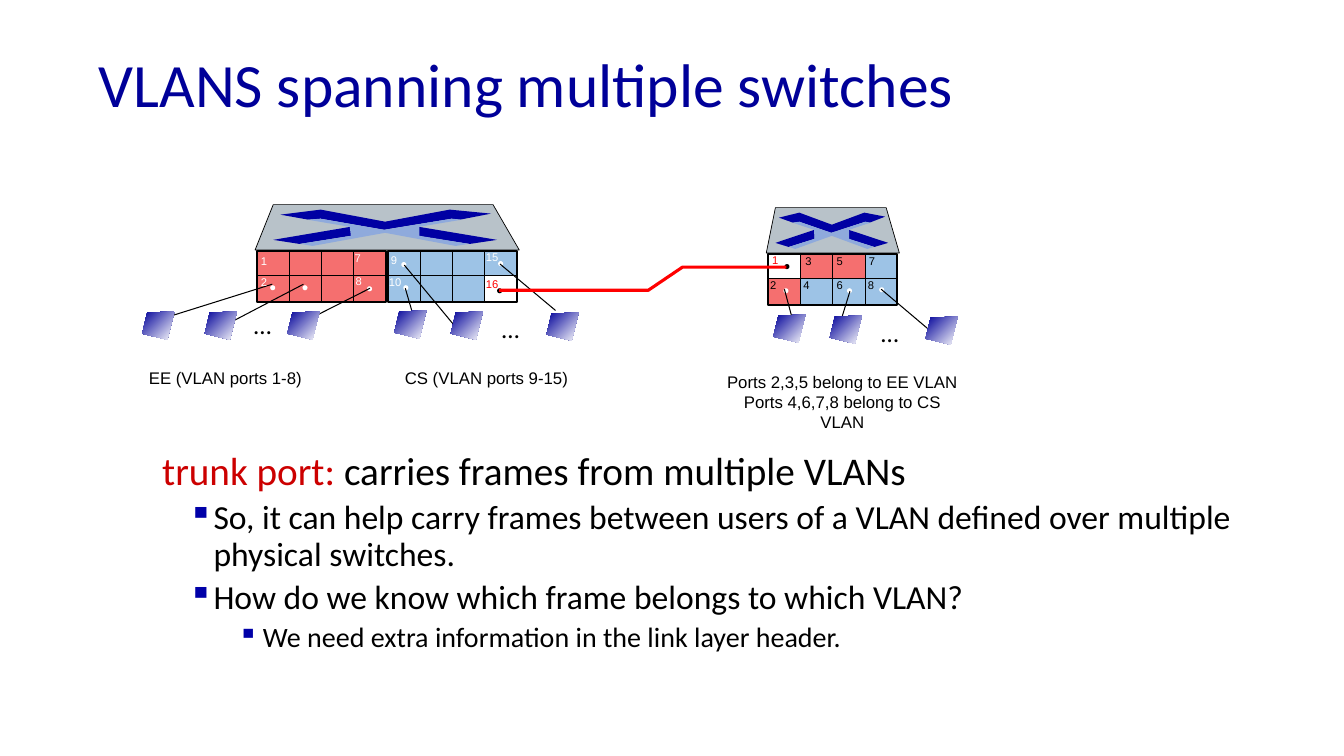
import pptx
import pptx.util
from lxml import etree
from pptx.dml.color import RGBColor
from pptx.enum.shapes import MSO_CONNECTOR, MSO_SHAPE
from pptx.enum.text import MSO_ANCHOR, PP_ALIGN
from pptx.oxml.ns import qn
from pptx.util import Inches, Pt

BLACK = RGBColor(0x00, 0x00, 0x00)
WHITE = RGBColor(0xFF, 0xFF, 0xFF)
NAVY = RGBColor(0x00, 0x00, 0x99)
ARROW_BLUE = RGBColor(0x00, 0x00, 0xA3)
ARROW_SHADE = RGBColor(0x8F, 0xAA, 0xDC)
CASE_GREY = RGBColor(0xB8, 0xC2, 0xC9)
TERM_RED = RGBColor(0xCC, 0x00, 0x00)
TRUNK_RED = RGBColor(0xFF, 0x00, 0x00)
VLAN_COLOURS = {
    "E": RGBColor(0xF5, 0x6F, 0x6F),
    "C": RGBColor(0x9D, 0xC3, 0xE6),
    "T": WHITE,
}

TITLE = "VLANS spanning multiple switches"
# level, runs of (text, colour), size
BODY = [
    (0, [("trunk port: ", TERM_RED), ("carries frames from multiple VLANs", BLACK)], 28),
    (1, [("So, it can help carry frames between users of a VLAN defined over "
          "multiple physical switches.", BLACK)], 24),
    (1, [("How do we know which frame belongs to which VLAN?", BLACK)], 24),
    (2, [("We need extra information in the link layer header.", BLACK)], 20),
]
BODY_INDENT = {1: 0.51, 2: 1.0}

# left, top, VLAN of each port by row
PORT_BANKS = [
    (2.55, 2.49, ["EEEE", "EEEE"]),
    (3.85, 2.49, ["CCCC", "CCCT"]),
    (7.62, 2.52, ["TEEC", "ECCC"]),
]
PORT_W, UPPER_H, LOWER_H = 0.32, 0.24, 0.27

# number, left, top, width, colour
PORT_NUMBERS = [
    ("1", 2.49, 2.47, 0.26, WHITE), ("2", 2.49, 2.68, 0.26, WHITE),
    ("7", 3.42, 2.44, 0.26, WHITE), ("8", 3.43, 2.67, 0.26, WHITE),
    ("9", 3.78, 2.46, 0.26, WHITE), ("10", 3.76, 2.68, 0.33, WHITE),
    ("15", 4.72, 2.43, 0.33, WHITE), ("16", 4.72, 2.70, 0.33, TRUNK_RED),
    ("1", 7.56, 2.46, 0.26, TRUNK_RED), ("2", 7.54, 2.71, 0.26, BLACK),
    ("3", 7.89, 2.47, 0.26, BLACK), ("4", 7.87, 2.71, 0.26, BLACK),
    ("5", 8.20, 2.47, 0.26, BLACK), ("6", 8.20, 2.71, 0.26, BLACK),
    ("7", 8.52, 2.47, 0.26, BLACK), ("8", 8.51, 2.71, 0.26, BLACK),
]

# left, top, width of each switch lid
SWITCH_LIDS = [(2.53, 2.03, 2.62), (7.60, 2.06, 1.32)]
LID_DESIGN_W = 2.62
LID_PARTS = [
    (CASE_GREY, True, [(0, 0.45), (0.18, 0), (2.36, 0), (2.62, 0.45)]),
    (ARROW_BLUE, False, [(1.93, 0.05), (2.34, 0.09), (2.03, 0.15), (1.95, 0.14),
                         (1.28, 0.25), (0.65, 0.14), (0.53, 0.15), (0.25, 0.10),
                         (0.65, 0.05), (1.29, 0.17)]),
    (ARROW_BLUE, False, [(1.62, 0.22), (2.40, 0.35), (2.13, 0.39), (1.61, 0.31)]),
    (ARROW_BLUE, False, [(0.95, 0.22), (0.95, 0.31), (0.44, 0.39), (0.18, 0.35)]),
    (ARROW_SHADE, False, [(0.52, 0.15), (0.65, 0.14), (1.28, 0.25), (1.95, 0.14),
                          (2.05, 0.15), (1.63, 0.22), (1.63, 0.31), (2.12, 0.39),
                          (1.99, 0.41), (1.29, 0.28), (0.57, 0.41), (0.45, 0.39),
                          (0.95, 0.31), (0.94, 0.22)]),
]

# port dot (left, top), cable start, cable end, host (left, top)
HOSTS = [
    ((2.68, 2.83), (2.70, 2.82), (1.71, 3.13), (1.41, 3.09)),
    ((3.00, 2.83), (3.01, 2.82), (2.13, 3.28), (2.03, 3.09)),
    ((3.64, 2.84), (3.67, 2.86), (2.92, 3.24), (2.85, 3.09)),
    ((4.00, 2.83), (4.02, 2.86), (4.13, 3.24), (3.91, 3.08)),
    ((3.98, 2.60), (4.01, 2.63), (4.54, 3.27), (4.47, 3.09)),
    ((4.94, 2.59), (4.96, 2.62), (5.51, 3.08), (5.42, 3.10)),
    ((7.77, 2.86), (7.78, 2.87), (7.89, 3.28), (7.67, 3.12)),
    ((8.40, 2.86), (8.43, 2.89), (8.30, 3.31), (8.23, 3.13)),
    ((8.72, 2.85), (8.74, 2.87), (9.26, 3.31), (9.18, 3.14)),
]
HOST_OUTLINE = [(0.32, 0), (0.05, 0.01), (0, 0.22), (0.25, 0.28)]

TRUNK = [(4.95, 2.88), (6.43, 2.88), (6.77, 2.65), (7.80, 2.65)]
TRUNK_DOTS = [(4.93, 2.86), (7.78, 2.62)]
ELLIPSES = [(2.42, 3.02), (4.88, 3.06), (8.64, 3.10)]
# left, top, width, height, lines
CAPTIONS = [
    (1.29, 3.60, 1.89, 0.30, ["EE (VLAN ports 1-8)"]),
    (3.42, 3.60, 2.81, 0.30, ["CS (VLAN ports 9-15)"]),
    (7.04, 3.64, 2.63, 0.50, ["Ports 2,3,5 belong to EE VLAN",
                              "Ports 4,6,7,8 belong to CS VLAN"]),
]

deck = pptx.Presentation()
deck.slide_width, deck.slide_height = Inches(13.33), Inches(7.5)
slide = deck.slides.add_slide(deck.slide_layouts[6])


def paint(shape, fill=None, line=None, weight=0.75):
    shape.shadow.inherit = False
    if fill is None:
        shape.fill.background()
    else:
        shape.fill.solid()
        shape.fill.fore_color.rgb = fill
    if line is None:
        shape.line.fill.background()
    else:
        shape.line.color.rgb = line
        shape.line.width = Pt(weight)


def add_preset(kind, left, top, width, height, **look):
    paint(slide.shapes.add_shape(kind, *map(Inches, (left, top, width, height))), **look)


def add_dot(left, top, colour):
    add_preset(MSO_SHAPE.OVAL, left, top, 0.05, 0.05, fill=colour)


def add_outline(points, close=True, **look):
    points = [(Inches(x), Inches(y)) for x, y in points]
    builder = slide.shapes.build_freeform(*points[0])
    builder.add_line_segments(points[1:], close=close)
    shape = builder.convert_to_shape()
    paint(shape, **look)
    return shape


def add_line(start, end):
    line = slide.shapes.add_connector(MSO_CONNECTOR.STRAIGHT, *map(Inches, start + end))
    line.line.color.rgb = BLACK
    line.line.width = Pt(0.75)
    etree.SubElement(line._element.spPr, qn("a:effectLst"))


def add_run(paragraph, text, font, size, colour):
    run = paragraph.add_run()
    run.text = text
    run.font.name, run.font.size = font, Pt(size)
    run.font.color.rgb = colour


def add_frame(left, top, width, height, wrap=True):
    frame = slide.shapes.add_textbox(*map(Inches, (left, top, width, height))).text_frame
    frame.word_wrap = wrap
    return frame


def add_bullet(paragraph, indent):
    properties = paragraph._p.get_or_add_pPr()
    properties.set("marL", str(Inches(indent)))
    properties.set("indent", str(Inches(-0.25)))
    colour = etree.SubElement(properties, qn("a:buClr"))
    etree.SubElement(colour, qn("a:srgbClr")).set("val", "0000A8")
    etree.SubElement(properties, qn("a:buChar")).set("char", "▪")


for left, top, rows in PORT_BANKS:
    middle, right, bottom = top + UPPER_H, left + 4 * PORT_W, top + UPPER_H + LOWER_H
    for vlans, y, height in zip(rows, (top, middle), (UPPER_H, LOWER_H)):
        for column, vlan in enumerate(vlans):
            add_preset(MSO_SHAPE.RECTANGLE, left + column * PORT_W, y, PORT_W, height,
                       fill=VLAN_COLOURS[vlan])
    add_preset(MSO_SHAPE.RECTANGLE, left, top, right - left, bottom - top,
               line=BLACK, weight=1.5)
    add_line((left, middle), (right, middle))
    for column in range(1, 4):
        x = left + column * PORT_W
        add_line((x, top), (x, bottom))

for left, top, width in SWITCH_LIDS:
    stretch = width / LID_DESIGN_W
    for fill, edged, points in LID_PARTS:
        add_outline([(left + x * stretch, top + y) for x, y in points],
                    fill=fill, line=BLACK if edged else None, weight=0.5)

for dot, start, end, (left, top) in HOSTS:
    add_dot(*dot, WHITE)
    add_line(start, end)
    host = add_outline([(left + x, top + y) for x, y in HOST_OUTLINE])
    host.fill.gradient()
    host.fill.gradient_angle = 315
    for stop, colour in zip(host.fill.gradient_stops, (NAVY, WHITE)):
        stop.color.rgb = colour

for dot in TRUNK_DOTS:
    add_dot(*dot, BLACK)
for number, left, top, width, colour in PORT_NUMBERS:
    frame = add_frame(left, top, width, 0.23, wrap=False)
    add_run(frame.paragraphs[0], number, "Arial", 8, colour)
add_outline(TRUNK, close=False, line=TRUNK_RED, weight=2.25)

for left, top in ELLIPSES:
    frame = add_frame(left, top, 0.38, 0.4, wrap=False)
    add_run(frame.paragraphs[0], "…", "Calibri", 18, BLACK)

for *place, lines in CAPTIONS:
    frame = add_frame(*place)
    for index, text in enumerate(lines):
        paragraph = frame.add_paragraph() if index else frame.paragraphs[0]
        paragraph.alignment = PP_ALIGN.CENTER
        add_run(paragraph, text, "Arial", 12, BLACK)

title = add_frame(0.88, 0.38, 11.5, 0.98)
title.vertical_anchor = MSO_ANCHOR.MIDDLE
title.paragraphs[0].line_spacing = 0.9
add_run(title.paragraphs[0], TITLE, "Calibri", 44, NAVY)

body = add_frame(1.51, 4.43, 10.92, 2.94)
for index, (level, runs, size) in enumerate(BODY):
    paragraph = body.add_paragraph() if index else body.paragraphs[0]
    if level:
        paragraph.level = level
        add_bullet(paragraph, BODY_INDENT[level])
        paragraph.space_before = Pt(5)
    paragraph.line_spacing = 0.9
    for text, colour in runs:
        add_run(paragraph, text, "Calibri", size, colour)

deck.save("out.pptx")
